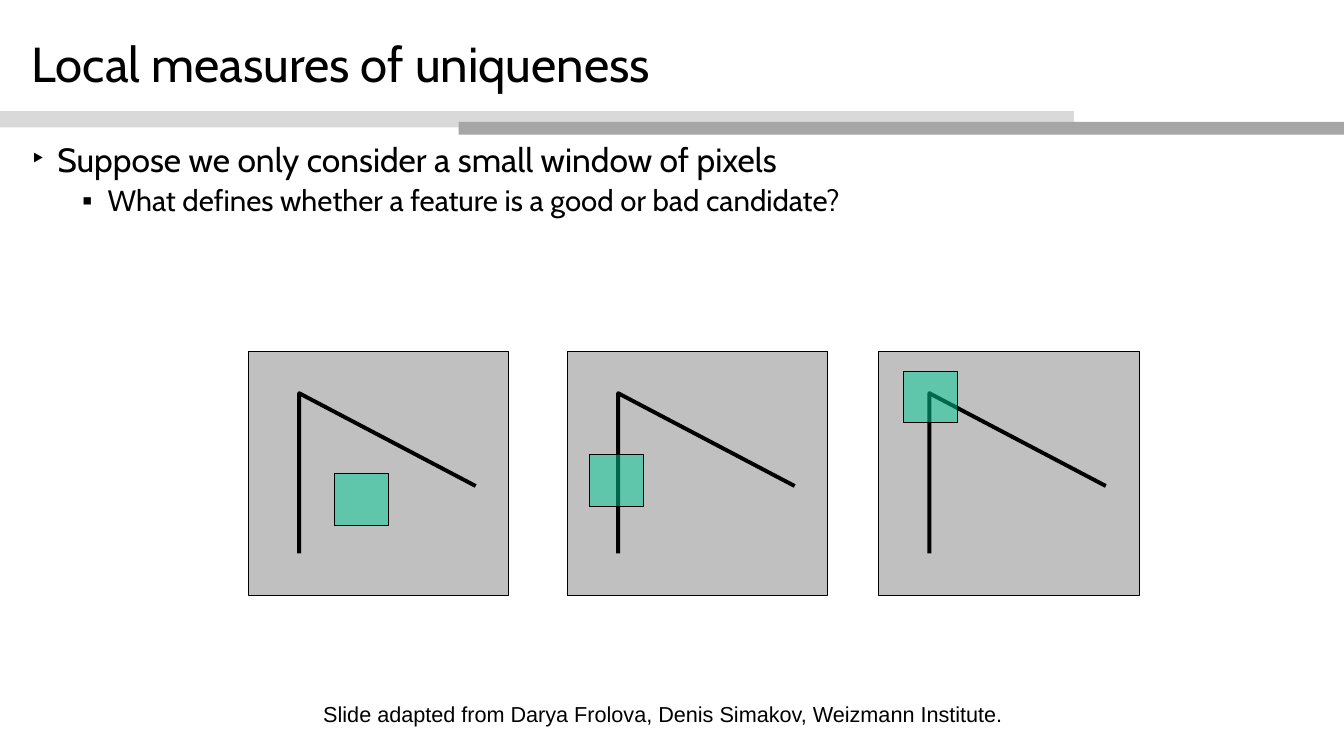
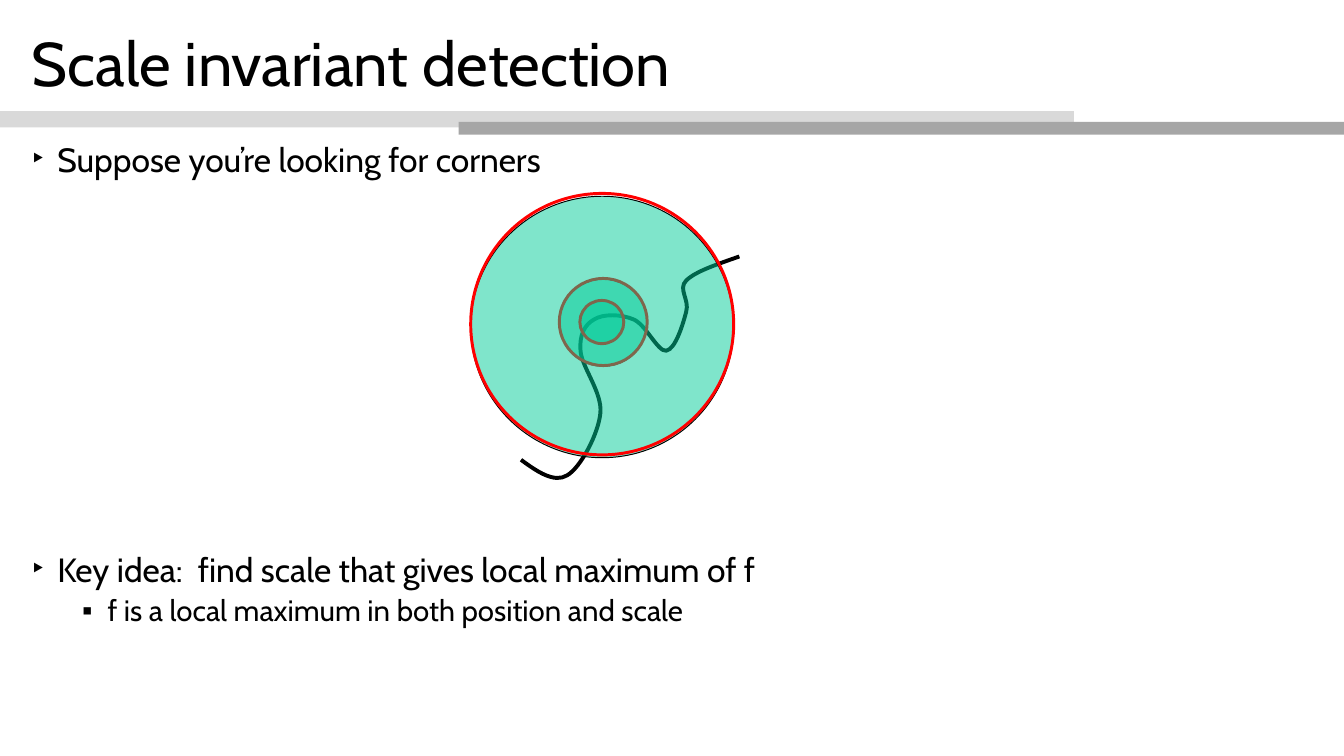
from lxml import etree
from pptx import Presentation
from pptx import util as u
from pptx.dml.color import RGBColor
from pptx.enum import shapes, text
from pptx.oxml.ns import qn

PX = 9144
SLIDE_W, SLIDE_H = 1896, 1067
COLORS = {
    "ink": "000000",
    "band_light": "D9D9D9",
    "band_dark": "A6A6A6",
    "panel": "C0C0C0",
    "window": "00CC99",
    "ring": "FF0000",
}
TITLE_FONT = "Cabin"
CREDIT_FONT = "Arial"
BULLET_LEVELS = [
    {"char": "‣", "indent": 36, "size": 34.1, "before": 22.8},
    {"char": "▪", "indent": 107, "size": 29.9, "before": 7.1},
]
HANGING = 36
BLANK_LAYOUT = 6


def px(value):
    return u.Emu(value * PX)


def rgb(name):
    return RGBColor.from_string(COLORS[name])


def style(shape, fill=None, line=None, width=1, alpha=None):
    shape.shadow.inherit = False
    if fill:
        shape.fill.solid()
        shape.fill.fore_color.rgb = rgb(fill)
    else:
        shape.fill.background()
    if alpha:
        color = shape._element.xpath("./p:spPr/a:solidFill/a:srgbClr")[0]
        etree.SubElement(color, qn("a:alpha"), val=str(alpha * 1000))
    if line:
        shape.line.color.rgb = rgb(line)
        shape.line.width = u.Pt(width)
    else:
        shape.line.fill.background()


def add_figure(slide, kind, box, **look):
    figure = slide.shapes.add_shape(kind, *map(px, box))
    style(figure, **look)


def add_rect(slide, box, **look):
    add_figure(slide, shapes.MSO_SHAPE.RECTANGLE, box, **look)


def add_ellipse(slide, box, **look):
    add_figure(slide, shapes.MSO_SHAPE.OVAL, box, **look)


def add_outline(slide, points):
    builder = slide.shapes.build_freeform(*points[0], scale=PX)
    builder.add_line_segments(points[1:], close=False)
    outline = builder.convert_to_shape()
    style(outline, line="ink", width=4)
    return outline


def add_curve(slide, points):
    segments = add_outline(slide, points)._element.xpath(".//a:lnTo")
    for start in range(0, len(segments), 3):
        first, *others = segments[start:start + 3]
        first.tag = qn("a:cubicBezTo")
        for segment in others:
            first.append(segment[0])
            segment.getparent().remove(segment)


def set_bullet(paragraph, level):
    properties = paragraph._p.get_or_add_pPr()
    properties.set("marL", str(px(level["indent"])))
    properties.set("indent", str(px(-HANGING)))
    etree.SubElement(properties, qn("a:buFont"), typeface="Arial")
    etree.SubElement(properties, qn("a:buChar"), char=level["char"])


def add_text(slide, box, lines, font=TITLE_FONT, size=None, bullets=False,
             anchor=text.MSO_ANCHOR.TOP, spacing=0.9, inset=(10, 5)):
    frame = slide.shapes.add_textbox(*map(px, box)).text_frame
    frame.word_wrap = True
    frame.vertical_anchor = anchor
    frame.margin_left = frame.margin_right = px(inset[0])
    frame.margin_top = frame.margin_bottom = px(inset[1])
    for number, line in enumerate(lines):
        paragraph = frame.add_paragraph() if number else frame.paragraphs[0]
        paragraph.line_spacing = spacing
        line_size = size
        if bullets:
            level = BULLET_LEVELS[number]
            line_size = level["size"]
            if number:
                paragraph.level = number
                paragraph.space_before = u.Pt(level["before"])
            set_bullet(paragraph, level)
        run = paragraph.add_run()
        run.text = line
        run.font.name = font
        run.font.size = u.Pt(line_size)
        run.font.color.rgb = rgb("ink")


def add_bullets(slide, top, lines):
    add_text(slide, (35, top, 1826, 1045 - top), lines, bullets=True)


def add_titled_slide(deck, title, size):
    slide = deck.slides.add_slide(deck.slide_layouts[BLANK_LAYOUT])
    add_rect(slide, (0, 157, 1515, 23), fill="band_light")
    add_rect(slide, (647, 172, 1249, 18), fill="band_dark")
    add_text(slide, (35, 22, 1823, 144), [title], size=size,
             anchor=text.MSO_ANCHOR.MIDDLE)
    return slide


def add_corner_panel(slide, left, window_left, window_top):
    top = 496
    add_rect(slide, (left, top, 367, 344), fill="panel", line="ink")
    corner = [(71, 285), (71, 59), (320, 190)]
    add_outline(slide, [(left + x, top + y) for x, y in corner])
    add_rect(slide, (left + window_left, top + window_top, 76, 73),
             fill="window", line="ink", alpha=50)


def add_scale_circle(slide, left, top, width, height, ring_top):
    add_ellipse(slide, (left, top, width, height),
                fill="window", line="ink", alpha=50)
    add_ellipse(slide, (left, ring_top, width, height), line="ring", width=3)


def build_uniqueness(deck):
    slide = add_titled_slide(deck, "Local measures of uniqueness", 49.9)
    add_bullets(slide, 197, [
        "Suppose we only consider a small window of pixels",
        "What defines whether a feature is a good or bad candidate?",
    ])
    for panel in [(351, 121, 173), (801, 31, 146), (1240, 35, 28)]:
        add_corner_panel(slide, *panel)
    add_text(slide, (450, 983, 1161, 48),
             ["Slide adapted from Darya Frolova, Denis Simakov, Weizmann Institute."],
             font=CREDIT_FONT, size=22, spacing=1.0, inset=(6, 6),
             anchor=text.MSO_ANCHOR.MIDDLE)


def build_scale_detection(deck):
    slide = add_titled_slide(deck, "Scale invariant detection", 62.6)
    add_bullets(slide, 197, ["Suppose you’re looking for corners"])
    add_bullets(slide, 776, [
        "Key idea:  find scale that gives local maximum of f",
        "f is a local maximum in both position and scale",
    ])
    add_curve(slide, [
        (735, 649),
        (758, 666), (782, 682), (800, 671),
        (819, 660), (844, 613), (847, 583),
        (850, 554), (820, 517), (819, 495),
        (817, 473), (825, 458), (838, 451),
        (850, 443), (876, 443), (894, 451),
        (911, 458), (928, 497), (940, 495),
        (953, 493), (964, 456), (968, 440),
        (973, 423), (956, 408), (968, 396),
        (981, 383), (1012, 373), (1043, 362),
    ])
    for circle in [(789, 394, 124, 123, 393),
                   (818, 424, 62, 61, 424),
                   (664, 277, 371, 369, 273)]:
        add_scale_circle(slide, *circle)


def main():
    deck = Presentation()
    deck.slide_width, deck.slide_height = px(SLIDE_W), px(SLIDE_H)
    build_uniqueness(deck)
    build_scale_detection(deck)
    deck.save("out.pptx")


if __name__ == "__main__":
    main()
